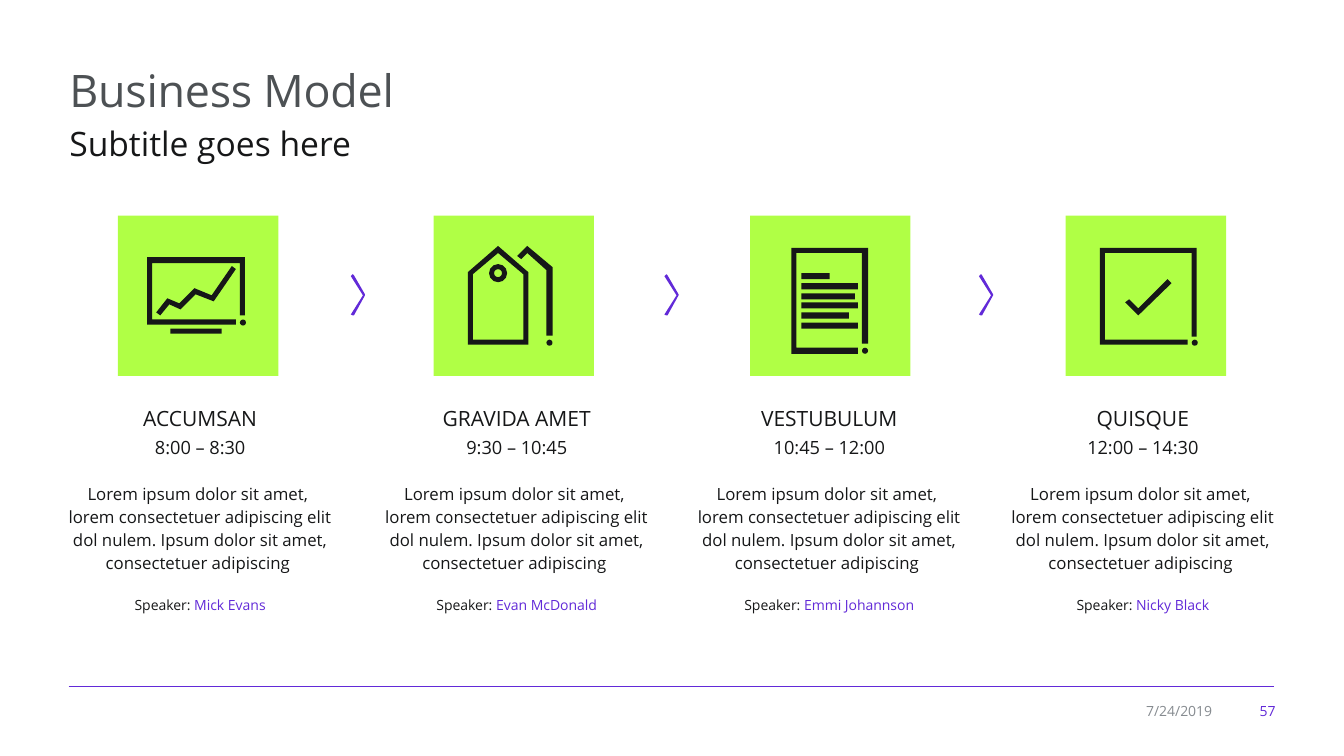
from pptx import Presentation
from pptx.dml.color import RGBColor
from pptx.enum.shapes import MSO_CONNECTOR, MSO_SHAPE
from pptx.enum.text import MSO_ANCHOR, PP_ALIGN
from pptx.oxml.ns import qn
from pptx.util import Pt
from lxml import etree

PX = 9144
FONT = "Open Sans"
INK = RGBColor(0x16, 0x17, 0x18)
GREY = RGBColor(0x4D, 0x51, 0x54)
PALE = RGBColor(0x86, 0x8B, 0x90)
VIOLET = RGBColor(0x62, 0x2A, 0xD8)
LIME = RGBColor(0xB0, 0xFF, 0x45)
LEFT, CENTER, RIGHT = PP_ALIGN.LEFT, PP_ALIGN.CENTER, PP_ALIGN.RIGHT
TOP, MIDDLE = MSO_ANCHOR.TOP, MSO_ANCHOR.MIDDLE
RECT, OVAL, DONUT = MSO_SHAPE.RECTANGLE, MSO_SHAPE.OVAL, MSO_SHAPE.DONUT
LINE = MSO_CONNECTOR.STRAIGHT

LOREM = [
    "Lorem ipsum dolor sit amet, ",
    "lorem consectetuer adipiscing elit dol nulem. "
    "Ipsum dolor sit amet, consectetuer adipiscing ",
]
ARROW = [[(2, 41), (0, 40), (12, 21), (0, 2), (2, 0), (3, 1),
          (14, 20), (14, 21), (3, 41)]]


def bar(x, y, wide, high):
    """Return the outline of a bar."""
    return [(x, y), (x + wide, y), (x + wide, y + high), (x, y + high)]


CHART = [
    [(34, 103), (117, 103), (117, 108), (29, 108), (29, 41), (126, 41),
     (126, 99), (121, 99), (121, 47), (34, 47)],
    bar(52, 112, 51, 5),
    [(76, 72), (61, 87), (49, 82), (38, 96), (42, 99), (51, 88), (62, 93),
     (77, 78), (95, 85), (117, 53), (113, 50), (93, 79)],
]
TAG = [
    [(34, 56), (34, 128), (94, 128), (94, 56), (64, 30)],
    [(89, 123), (39, 123), (39, 58), (64, 37), (89, 58)],
    [(112, 119), (112, 54), (93, 37), (87, 43), (83, 40), (93, 30),
     (118, 51), (118, 119)],
]
SHEET = [
    [(117, 32), (117, 127), (111, 127), (111, 37), (46, 37), (46, 131),
     (107, 131), (107, 137), (41, 137), (41, 32)],
] + [bar(51, 57 + round(i * 9.8), wide, 6)
     for i, wide in enumerate((28, 56, 53, 56, 47, 56))]
CHECK = [
    [(39, 123), (121, 123), (121, 128), (34, 128), (34, 32), (130, 32),
     (130, 120), (125, 120), (125, 37), (39, 37)],
    [(63, 83), (59, 86), (72, 99), (105, 67), (101, 63), (72, 92)],
]

STEPS = [
    (117, 57, CHART, (121, 103), "ACCUMSAN", "8:00 – 8:30", "Mick Evans"),
    (430, 371, TAG, (112, 123), "GRAVIDA AMET", "9:30 – 10:45",
     "Evan McDonald"),
    (744, 681, SHEET, (111, 131), "VESTUBULUM", "10:45 – 12:00",
     "Emmi Johannson"),
    (1057, 992, CHECK, (125, 123), "QUISQUE", "12:00 – 14:30",
     "Nicky Black"),
]


def paint(shape, color):
    """Give a shape a plain fill."""
    shape.fill.solid()
    shape.fill.fore_color.rgb = color
    shape.line.fill.background()
    shape.shadow.inherit = False


def block(shapes, kind, box, color):
    """Add a filled preset shape."""
    shape = shapes.add_shape(kind, *[v * PX for v in box])
    paint(shape, color)
    return shape


def trace(shapes, x, y, paths, color):
    """Draw closed outlines as one shape, measured from a corner."""
    pen = shapes.build_freeform(*paths[0][0], scale=PX)
    pen.add_line_segments(paths[0][1:], close=True)
    for first, *rest in paths[1:]:
        pen.move_to(*first)
        pen.add_line_segments(rest, close=True)
    paint(pen.convert_to_shape(x * PX, y * PX), color)


def write(slide, box, runs, size, align=LEFT, anchor=TOP):
    """Add a text box of one paragraph and return the paragraph."""
    frame = slide.shapes.add_textbox(*[v * PX for v in box]).text_frame
    frame.word_wrap = True
    frame.vertical_anchor = anchor
    para = frame.paragraphs[0]
    para.alignment = align
    for i, (text, color) in enumerate(runs):
        if text == "\n":
            para.add_line_break()
            continue
        run = para.add_run()
        run.text = text
        run.font.name = FONT
        run.font.size = Pt(size)
        run.font.color.rgb = color
    return para


def header(slide, x, y):
    """Add title and subtitle."""
    title = write(slide, (x, y, 1216, 66), [("Business Model", GREY)], 32,
                  anchor=MIDDLE)
    title.runs[0].font._element.set("spc", "-20")
    write(slide, (x, y + 61, 1203, 54), [("Subtitle goes here", INK)], 24)


def icon(slide, x, y, paths, dot):
    """Add a tile with its pictogram."""
    shapes = slide.shapes.add_group_shape().shapes
    block(shapes, RECT, (x, y, 159, 159), LIME)
    trace(shapes, x, y, paths, INK)
    block(shapes, OVAL, (x + dot[0], y + dot[1], 6, 6), INK)
    if paths is TAG:
        ring = block(shapes, DONUT, (x + 55, y + 48, 18, 18), INK)
        ring.adjustments[0] = 0.28


def step(slide, x, y, name, time, host):
    """Add the texts of one column."""
    write(slide, (x + 6, y, 271, 35), [(name, INK)], 15, CENTER)
    write(slide, (x + 6, y + 31, 271, 32), [(time, INK)], 13, CENTER)
    body = write(slide, (x, y + 75, 283, 102),
                 [(LOREM[0], INK), ("\n", INK), (LOREM[1], INK)], 12, CENTER)
    body.line_spacing = Pt(16.4)
    write(slide, (x, y + 190, 283, 27),
          [("Speaker: ", INK), (host, VIOLET)], 10, CENTER)


def footer(slide, x, y):
    """Add rule, date and page number."""
    rule = slide.shapes.add_connector(
        LINE, x * PX, y * PX, (x + 1196) * PX, y * PX)
    rule.line.color.rgb = VIOLET
    rule.line.width = Pt(0.75)
    etree.SubElement(rule._element.spPr, qn("a:effectLst"))
    write(slide, (x + 1049, y + 11, 95, 26), [("7/24/2019", PALE)], 10,
          RIGHT, MIDDLE)
    write(slide, (x + 1156, y + 11, 51, 26), [("57", VIOLET)], 10,
          RIGHT, MIDDLE)


def main():
    """Build and save the slide."""
    deck = Presentation()
    deck.slide_width, deck.slide_height = 1333 * PX, 750 * PX
    slide = deck.slides.add_slide(deck.slide_layouts[6])
    header(slide, 59, 56)
    for tile, left, paths, dot, name, time, host in STEPS:
        icon(slide, tile, 214, paths, dot)
        step(slide, left, 397, name, time, host)
    for x in (348, 659, 971):
        trace(slide.shapes, x, 272, ARROW, VIOLET)
    footer(slide, 68, 681)
    deck.save("out.pptx")


if __name__ == "__main__":
    main()
